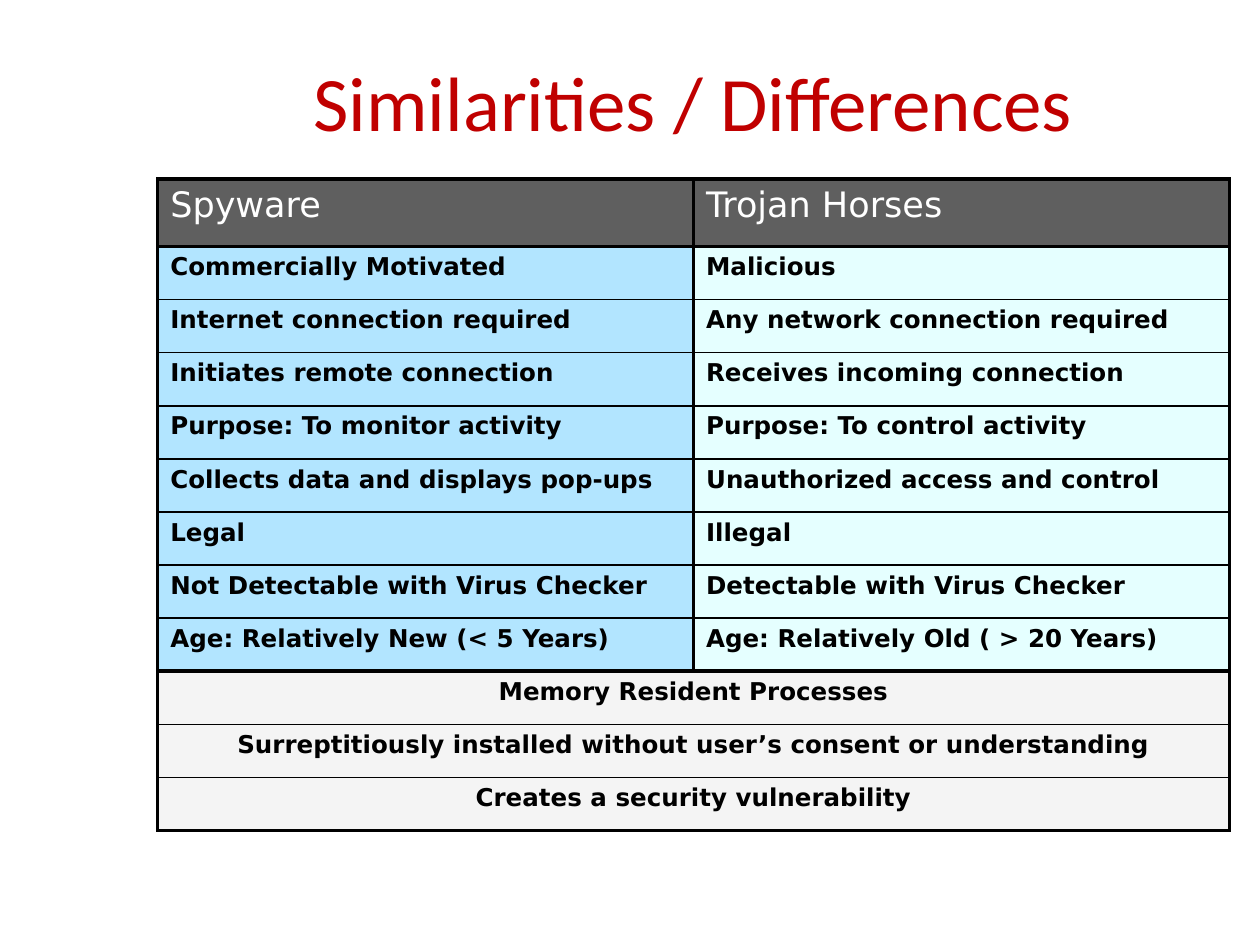
from dataclasses import dataclass

from lxml.etree import SubElement
from pptx import Presentation
from pptx.dml.color import RGBColor
from pptx.enum.text import MSO_ANCHOR, PP_ALIGN
from pptx.oxml.ns import qn
from pptx.util import Cm, Pt

THICK, THIN = 2.25, 1
BLACK = "000000"


@dataclass(frozen=True)
class Look:
    fills: tuple
    ink: str
    font: dict
    align: PP_ALIGN = PP_ALIGN.LEFT
    alpha: int = 100


@dataclass(frozen=True)
class Band:
    look: Look
    rows: tuple


BOLD = {"name": "DejaVu Sans", "size": Pt(14), "bold": True}
HEAD = Look(("5F5F5F", "5F5F5F"), "FFFFFF",
            {"name": "DejaVu Sans", "size": Pt(20), "bold": False})
PAIR = Look(("66CCFF", "CCFFFF"), BLACK, BOLD, alpha=50)
BOTH = Look(("EAEAEA", "EAEAEA"), BLACK, BOLD, PP_ALIGN.CENTER, 50)

# Each band is framed with thick lines; a row of one text spans both columns
BANDS = (
    Band(HEAD, (("Spyware", "Trojan Horses"),)),
    Band(PAIR, (
        ("Commercially Motivated", "Malicious"),
        ("Internet connection required", "Any network connection required"),
        ("Initiates remote connection", "Receives incoming connection"),
        ("Purpose: To monitor activity", "Purpose: To control activity"),
        ("Collects data and displays pop-ups", "Unauthorized access and control"),
        ("Legal", "Illegal"),
        ("Not Detectable with Virus Checker", "Detectable with Virus Checker"),
        ("Age: Relatively New (< 5 Years)", "Age: Relatively Old ( > 20 Years)"),
    )),
    Band(BOTH, (
        ("Memory Resident Processes",),
        ("Surreptitiously installed without user’s consent or understanding",),
        ("Creates a security vulnerability",),
    )),
)


def color(code: str) -> RGBColor:
    return RGBColor.from_string(code)


def style(font, ink: str, values: dict) -> None:
    for key, value in values.items():
        setattr(font, key, value)
    font.color.rgb = color(ink)


def border(cell, top: float, bottom: float) -> None:
    props = cell._tc.get_or_add_tcPr()
    for side, width in zip("LRTB", (THICK, THICK, top, bottom)):
        line = SubElement(props, qn(f"a:ln{side}"), w=str(Pt(width)))
        SubElement(SubElement(line, qn("a:solidFill")), qn("a:srgbClr"), val=BLACK)


def paint(cell, code: str, alpha: int) -> None:
    cell.fill.solid()
    cell.fill.fore_color.rgb = color(code)
    if alpha < 100:
        fill = cell._tc.tcPr.find(qn("a:solidFill"))
        SubElement(fill[0], qn("a:alpha"), val=str(alpha * 1000))


def write(cell, text: str, look: Look) -> None:
    cell.text = text
    para = cell.text_frame.paragraphs[0]
    para.alignment = look.align
    style(para.runs[0].font, look.ink, look.font)


def draw(grid, band: Band, start: int) -> None:
    last = len(band.rows) - 1
    for i, texts in enumerate(band.rows):
        cells = [grid.cell(start + i, col) for col in range(2)]
        for cell, code in zip(cells, band.look.fills):
            border(cell, THIN if i else THICK, THICK if i == last else THIN)
            paint(cell, code, band.look.alpha)
        if len(texts) == 1:
            cells[0].merge(cells[1])
        for cell, text in zip(cells, texts):
            write(cell, text, band.look)


def main() -> None:
    deck = Presentation()
    deck.slide_width, deck.slide_height = Cm(25.4), Cm(19.05)
    slide = deck.slides.add_slide(deck.slide_layouts[5])
    left, width = Cm(3.18), Cm(21.6)

    # Title
    title = slide.shapes.title
    place = {"left": left, "top": Cm(0.43), "width": width, "height": Cm(3.18)}
    for key, value in place.items():
        setattr(title, key, value)
    title.text_frame.text = "Similarities / Differences"
    title.text_frame.vertical_anchor = MSO_ANCHOR.MIDDLE
    para = title.text_frame.paragraphs[0]
    para.alignment = PP_ALIGN.CENTER
    style(para.runs[0].font, "C00000", {"name": "Calibri", "size": Pt(44)})

    # Comparison table
    count = sum(len(band.rows) for band in BANDS)
    grid = slide.shapes.add_table(count, 2, left, Cm(3.61), width, Cm(13.13)).table
    grid.first_row = grid.horz_banding = False
    for i, row in enumerate(grid.rows):
        row.height = Cm(1.07 if i else 1.36)
    start = 0
    for band in BANDS:
        draw(grid, band, start)
        start += len(band.rows)

    deck.save("out.pptx")


if __name__ == "__main__":
    main()
